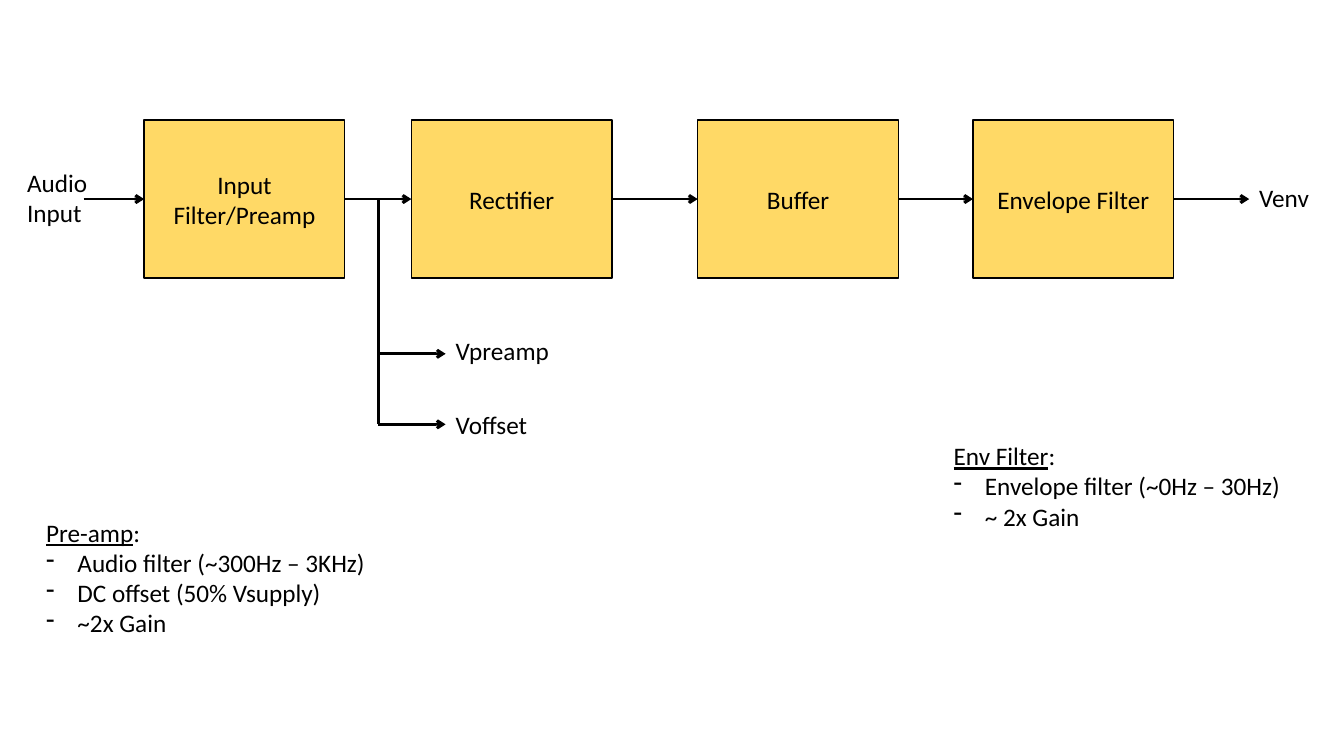
from dataclasses import dataclass

from lxml import etree
from pptx import Presentation
from pptx.dml.color import RGBColor
from pptx.enum.shapes import MSO_CONNECTOR, MSO_SHAPE
from pptx.enum.text import MSO_ANCHOR, MSO_AUTO_SIZE, PP_ALIGN
from pptx.oxml.ns import qn
from pptx.util import Inches, Pt

RECTANGLE = MSO_SHAPE.RECTANGLE
STRAIGHT = MSO_CONNECTOR.STRAIGHT
MIDDLE = MSO_ANCHOR.MIDDLE
GROW = MSO_AUTO_SIZE.SHAPE_TO_FIT_TEXT
CENTER = PP_ALIGN.CENTER
LEFT_SIDE, RIGHT_SIDE = 1, 3


@dataclass(frozen=True)
class Theme:
    font: str = "Calibri"
    size: int = 18
    ink: RGBColor = RGBColor(0x00, 0x00, 0x00)
    block: RGBColor = RGBColor(0xFF, 0xD9, 0x66)
    border: int = 1
    wire: int = 2


THEME = Theme()
BLOCK_WIDTH, BLOCK_HEIGHT = 1.99, 1.57
BULLET_INDENT = 0.31
STAGES = [
    (1.43, "Input Filter/Preamp"),
    (4.08, "Rectifier"),
    (6.92, "Buffer"),
    (9.65, "Envelope Filter"),
]


def add_run(paragraph, text, underline=False):
    run = paragraph.add_run()
    run.text = text
    run.font.name = THEME.font
    run.font.size = Pt(THEME.size)
    run.font.color.rgb = THEME.ink
    if underline:
        run.font.underline = True


def add_block(slide, left, top, label):
    shape = slide.shapes.add_shape(
        RECTANGLE, Inches(left), Inches(top), Inches(BLOCK_WIDTH), Inches(BLOCK_HEIGHT))
    shape.shadow.inherit = False
    shape.fill.solid()
    shape.fill.fore_color.rgb = THEME.block
    shape.line.color.rgb = THEME.ink
    shape.line.width = Pt(THEME.border)
    frame = shape.text_frame
    frame.word_wrap = True
    frame.vertical_anchor = MIDDLE
    paragraph = frame.paragraphs[0]
    paragraph.alignment = CENTER
    add_run(paragraph, label)
    return shape


def add_wire(slide, start, end, source=None, target=None, arrow=True):
    connector = slide.shapes.add_connector(
        STRAIGHT, *(Inches(value) for value in (*start, *end)))
    if source is not None:
        connector.begin_connect(source, RIGHT_SIDE)
    if target is not None:
        connector.end_connect(target, LEFT_SIDE)
    connector.line.color.rgb = THEME.ink
    connector.line.width = Pt(THEME.wire)
    if arrow:
        etree.SubElement(connector.line._get_or_add_ln(), qn("a:tailEnd"), type="arrow")
    etree.SubElement(connector._element.spPr, qn("a:effectLst"))


def add_text_frame(slide, left, top, width, height, wrap):
    box = slide.shapes.add_textbox(
        Inches(left), Inches(top), Inches(width), Inches(height))
    frame = box.text_frame
    frame.word_wrap = wrap
    frame.auto_size = GROW
    return frame


def next_paragraph(frame, index):
    return frame.add_paragraph() if index else frame.paragraphs[0]


def add_label(slide, left, top, width, height, lines, wrap=True):
    frame = add_text_frame(slide, left, top, width, height, wrap)
    for index, line in enumerate(lines):
        add_run(next_paragraph(frame, index), line)


def add_note(slide, left, top, width, height, title, items):
    frame = add_text_frame(slide, left, top, width, height, False)
    heading = frame.paragraphs[0]
    add_run(heading, title, underline=True)
    add_run(heading, ":")
    for item in items:
        paragraph = frame.add_paragraph()
        properties = paragraph._p.get_or_add_pPr()
        properties.set("marL", str(Inches(BULLET_INDENT)))
        properties.set("indent", str(-Inches(BULLET_INDENT)))
        etree.SubElement(properties, qn("a:buChar"), char="-")
        add_run(paragraph, item)


def add_signal_chain(slide, top):
    """Blocks in a row, wired from the audio input to Venv."""
    middle = top + BLOCK_HEIGHT / 2
    blocks = [add_block(slide, left, top, label) for left, label in STAGES]
    lefts = [left for left, _ in STAGES]

    add_wire(slide, (0.83, middle), (lefts[0], middle), target=blocks[0])
    for index in range(len(blocks) - 1):
        add_wire(slide, (lefts[index] + BLOCK_WIDTH, middle), (lefts[index + 1], middle),
                 blocks[index], blocks[index + 1])
    add_wire(slide, (lefts[-1] + BLOCK_WIDTH, middle), (12.39, middle), source=blocks[-1])

    add_label(slide, 0.17, 1.61, 0.81, 0.71, ["Audio", "Input"], wrap=False)
    add_label(slide, 12.39, 1.76, 0.75, 0.4, ["Venv"])


def add_preamp_taps(slide, left, top):
    """Vertical line with one arrow for each tapped voltage."""
    right = left + 0.67
    taps = [("Vpreamp", 3.51, 3.28), ("Voffset", 4.21, 4.01)]
    add_wire(slide, (left, top), (left, taps[-1][1]), arrow=False)
    for name, wire_top, label_top in taps:
        add_wire(slide, (left, wire_top), (right, wire_top))
        add_label(slide, right, label_top, 1.32, 0.4, [name])


def main():
    presentation = Presentation()
    presentation.slide_width = Inches(13.33)
    presentation.slide_height = Inches(7.5)
    slide = presentation.slides.add_slide(presentation.slide_layouts[6])

    # Block diagram
    add_signal_chain(slide, 1.19)
    add_preamp_taps(slide, 3.75, 1.97)

    # Notes on the two filters
    add_note(slide, 0.36, 5.08, 3.41, 1.62, "Pre-amp", [
        "Audio filter (~300Hz – 3KHz)", "DC offset (50% Vsupply)", "~2x Gain"])
    add_note(slide, 9.36, 4.32, 3.48, 1.31, "Env Filter", [
        "Envelope filter (~0Hz – 30Hz)", "~ 2x Gain"])

    presentation.save("out.pptx")


if __name__ == "__main__":
    main()
